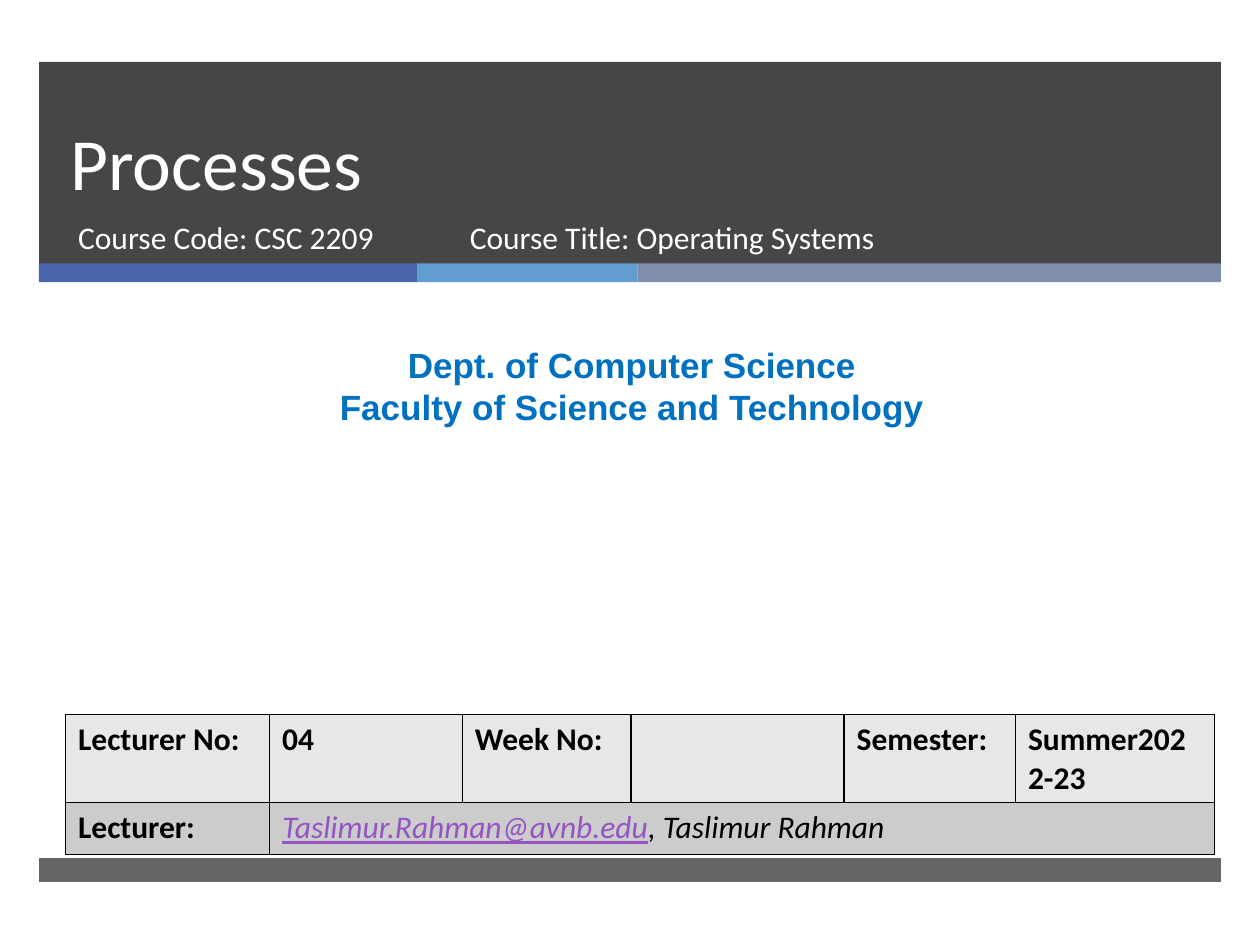
from itertools import accumulate

from lxml.etree import SubElement
from pptx import Presentation
from pptx.dml.color import RGBColor
from pptx.enum.shapes import MSO_SHAPE
from pptx.enum.text import MSO_ANCHOR, MSO_AUTO_SIZE, PP_ALIGN
from pptx.oxml import parse_xml
from pptx.oxml.ns import nsdecls, qn
from pptx.util import Inches, Pt

COLORS = {
    "dark": "262626", "blue": "4A66AC", "sky": "629DD1", "slate": "7F8FA9",
    "white": "FFFFFF", "black": "000000", "dept": "0070C0", "email": "9454C3",
    "light_row": "E7E7E7", "dark_row": "CCCCCC",
}


class CoverSlide:
    font = "Calibri"

    def __init__(self, slide):
        self.slide = slide

    def color(self, name):
        return RGBColor.from_string(COLORS[name])

    def add_words(self, paragraph, text, color, size=18, **formats):
        run = paragraph.add_run()
        run.text = text
        run.font.color.rgb = self.color(color)
        values = {"name": self.font, "size": Pt(size), "bold": False} | formats
        for key, value in values.items():
            setattr(run.font, key, value)

    def bar(self, left, top, width, height, color, opacity=100):
        bar = self.slide.shapes.add_shape(
            MSO_SHAPE.RECTANGLE, *map(Inches, (left, top, width, height)))
        bar.shadow.inherit = False
        bar.line.fill.background()
        bar.fill.solid()
        bar.fill.fore_color.rgb = self.color(color)
        if opacity < 100:
            tint = bar.fill._xPr.find(".//" + qn("a:srgbClr"))
            SubElement(tint, qn("a:alpha"), val=str(opacity * 1000))

    def place(self, holder, box, text, size, anchor=MSO_ANCHOR.TOP, spacing=None):
        for key, value in zip(("left", "top", "width", "height"), box):
            setattr(holder, key, Inches(value))
        self.slide.shapes._spTree.append(holder._element)
        frame = holder.text_frame
        frame.word_wrap = True
        frame.auto_size = MSO_AUTO_SIZE.NONE
        frame.vertical_anchor = anchor
        paragraph = frame.paragraphs[0]
        formats = {"alignment": PP_ALIGN.LEFT, "space_before": Pt(0), "line_spacing": spacing}
        for key, value in formats.items():
            setattr(paragraph, key, value)
        self.add_words(paragraph, text, "white", size)

    def text(self, box, lines, color, align=PP_ALIGN.LEFT, **formats):
        frame = self.slide.shapes.add_textbox(*map(Inches, box)).text_frame
        frame.word_wrap = True
        for index, line in enumerate(lines):
            paragraph = frame.add_paragraph() if index else frame.paragraphs[0]
            paragraph.alignment = align
            self.add_words(paragraph, line, color, **formats)

    def cell(self, cell, fill):
        properties = cell._tc.get_or_add_tcPr()
        for side in ("lnL", "lnR", "lnT", "lnB"):
            properties.append(parse_xml(
                f'<a:{side} {nsdecls("a")} w="12700"><a:solidFill>'
                f'<a:srgbClr val="{COLORS["black"]}"/></a:solidFill></a:{side}>'))
        cell.fill.solid()
        cell.fill.fore_color.rgb = self.color(fill)

    def table(self, left, top, widths, heights, fills):
        table = self.slide.shapes.add_table(
            len(heights), len(widths),
            *map(Inches, (left, top, sum(widths), sum(heights)))).table
        for column, width in zip(table.columns, widths):
            column.width = Inches(width)
        for row, height, fill in zip(table.rows, heights, fills):
            row.height = Inches(height)
            for cell in row.cells:
                self.cell(cell, fill)
        return table


def main():
    deck = Presentation()
    deck.slide_width, deck.slide_height = Inches(10), Inches(7.5)
    slide = deck.slides.add_slide(deck.slide_layouts[0])
    cover = CoverSlide(slide)

    left, width = 0.31, 9.38
    cover.bar(left, 0.49, width, 1.61, "dark", 85)
    stripes = (3, 1.75, 4.63)
    starts = accumulate(stripes, initial=left)
    for start, stripe, color in zip(starts, stripes, ("blue", "sky", "slate")):
        cover.bar(start, 2.09, stripe, 0.15, color)
    cover.bar(left, 6.81, width, 0.19, "dark", 70)

    title, course_code = slide.placeholders
    cover.place(title, (0.46, 0.49, 8.54, 1.19), "Processes", 42, MSO_ANCHOR.BOTTOM, Pt(46))
    cover.place(course_code, (0.52, 1.68, 3.05, 0.53), "Course Code: CSC 2209", 18)
    cover.text((0.08, 2.68, 9.87, 0.77),
               ("Dept. of Computer Science", "Faculty of Science and Technology"),
               "dept", PP_ALIGN.CENTER, size=20, name="Arial", bold=True)

    lecture = cover.table(0.52, 5.67, (1.62, 1.53, 1.34, 1.69, 1.36, 1.58),
                          (0.7, 0.41), ("light_row", "dark_row"))
    labels = (("Lecturer No:", "04", "Week No:", "", "Semester:", "Summer2022-23"),
              ("Lecturer:",))
    for row, texts in zip(lecture.rows, labels):
        for cell, text in zip(row.cells, texts):
            if text:
                cover.add_words(cell.text_frame.paragraphs[0], text, "black", bold=True)
    lecture.cell(0, 3).text_frame.paragraphs[0].font.size = Pt(18)
    lecturer = lecture.cell(1, 1)
    lecturer.merge(lecture.cell(1, 5))
    contact = lecturer.text_frame.paragraphs[0]
    cover.add_words(contact, "Taslimur.Rahman@avnb.edu", "email", italic=True, underline=True)
    cover.add_words(contact, ", Taslimur Rahman", "black", italic=True)

    cover.text((3.63, 1.68, 4.55, 0.53), ("Course Title: Operating Systems",), "white")
    deck.save("out.pptx")


if __name__ == "__main__":
    main()
